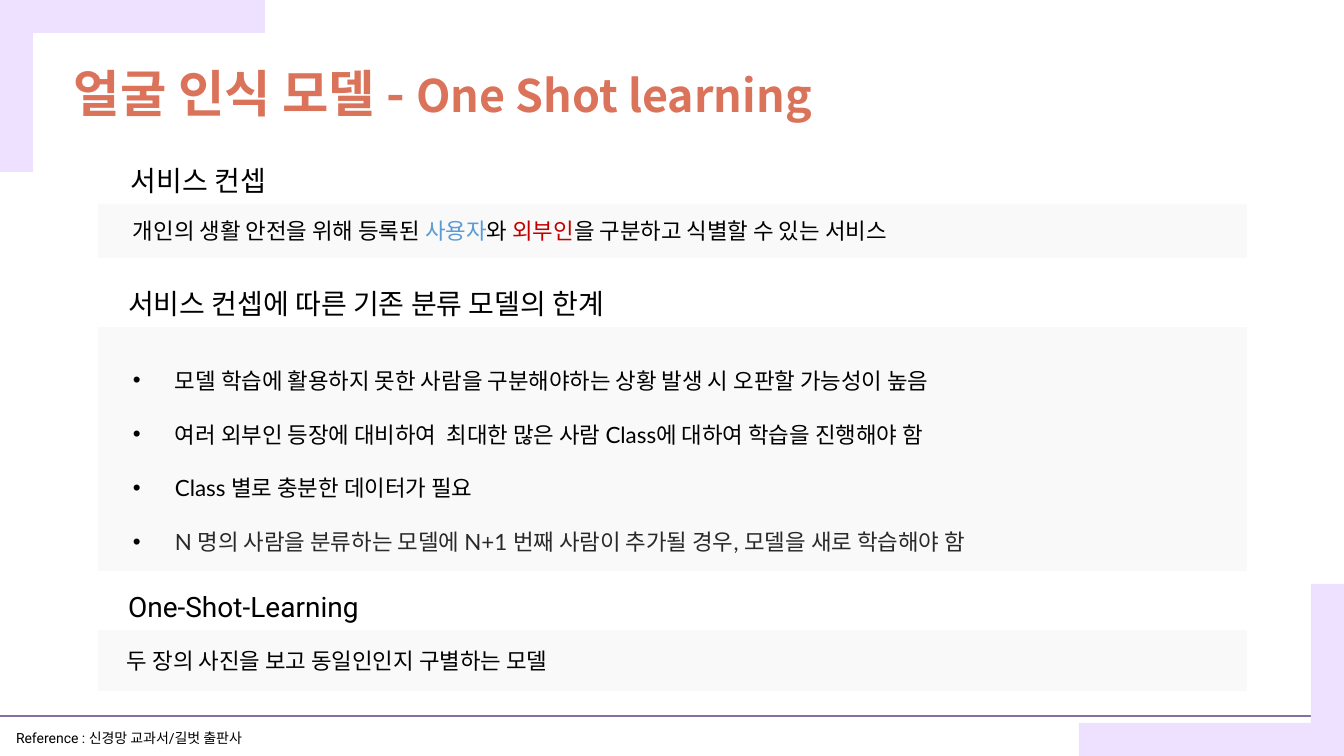
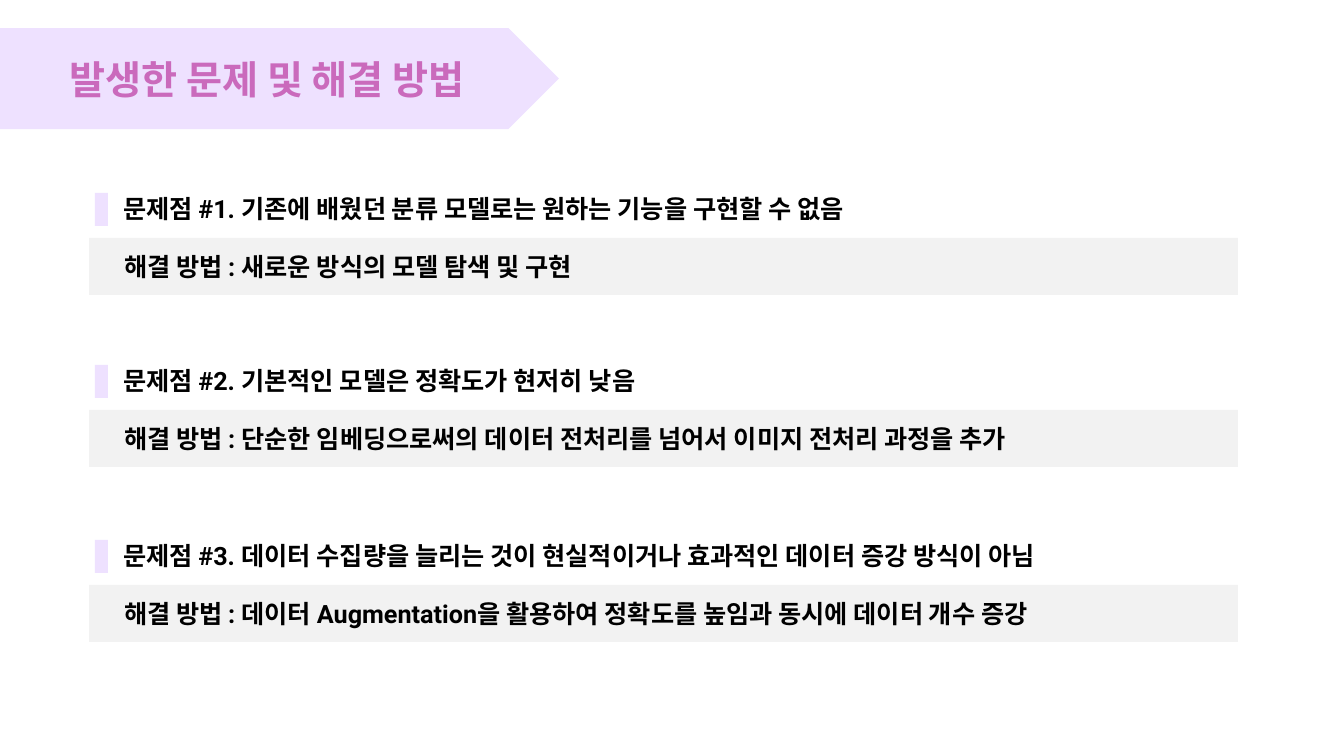
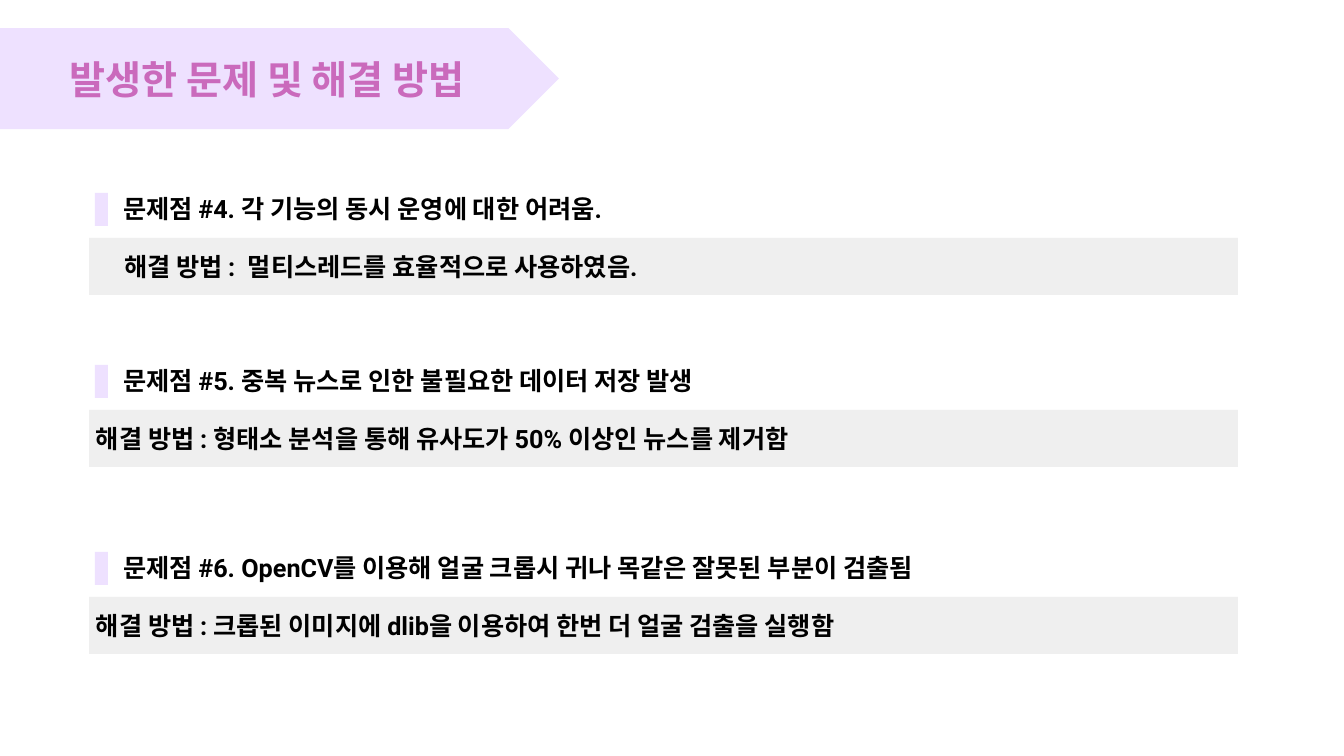
from lxml import etree
from pptx import Presentation
from pptx.dml.color import RGBColor
from pptx.enum.shapes import MSO_CONNECTOR, MSO_SHAPE
from pptx.enum.text import MSO_ANCHOR, MSO_AUTO_SIZE, PP_ALIGN
from pptx.oxml.ns import qn
from pptx.util import Emu, Pt

RECT, PENTAGON = MSO_SHAPE.RECTANGLE, MSO_SHAPE.PENTAGON
LINE = MSO_CONNECTOR.STRAIGHT
TOP, MIDDLE = MSO_ANCHOR.TOP, MSO_ANCHOR.MIDDLE
LEFT, CENTER = PP_ALIGN.LEFT, PP_ALIGN.CENTER
NO_FIT = MSO_AUTO_SIZE.NONE

W, H = 1344, 756
SCALE = 12192000 / W
PAD = 13
BAR = 33
TITLE_FONT, HEAD_FONT, BODY_FONT = "Noto Sans CJK KR", "Roboto", "Lato"
COLORS = {
    "lilac": "EEE1FF", "coral": "DB735B", "orchid": "CA6ABC", "rule": "856F9E",
    "panel": "F9F9F9", "row": "F2F2F2", "row_dark": "EFEFEF", "black": "000000",
    "soft": "292929", "blue": "5B9BD5", "red": "C00000",
}

CONCEPT = [("개인의 생활 안전을 위해 등록된 ", "black"), ("사용자", "blue"), ("와 ", "black"),
           ("외부인", "red"), ("을 구분하고 식별할 수 있는 서비스", "black")]
LIMITS = [
    ("모델 학습에 활용하지 못한 사람을 구분해야하는 상황 발생 시 오판할 가능성이 높음", "black"),
    ("여러 외부인 등장에 대비하여  최대한 많은 사람 Class에 대하여 학습을 진행해야 함", "black"),
    ("Class 별로 충분한 데이터가 필요", "black"),
    ("N 명의 사람을 분류하는 모델에 N+1 번째 사람이 추가될 경우, 모델을 새로 학습해야 함", "soft"),
]
PROBLEMS_1 = [
    (238, 35, "문제점 #1. 기존에 배웠던 분류 모델로는 원하는 기능을 구현할 수 없음",
     "해결 방법 : 새로운 방식의 모델 탐색 및 구현"),
    (410, 35, "문제점 #2. 기본적인 모델은 정확도가 현저히 낮음",
     "해결 방법 : 단순한 임베딩으로써의 데이터 전처리를 넘어서 이미지 전처리 과정을 추가"),
    (585, 35, "문제점 #3. 데이터 수집량을 늘리는 것이 현실적이거나 효과적인 데이터 증강 방식이 아님",
     "해결 방법 : 데이터 Augmentation을 활용하여 정확도를 높임과 동시에 데이터 개수 증강"),
]
PROBLEMS_2 = [
    (238, 35, "문제점 #4. 각 기능의 동시 운영에 대한 어려움.",
     "해결 방법 :  멀티스레드를 효율적으로 사용하였음."),
    (410, 7, "문제점 #5. 중복 뉴스로 인한 불필요한 데이터 저장 발생",
     "해결 방법 : 형태소 분석을 통해 유사도가 50% 이상인 뉴스를 제거함"),
    (597, 7, "문제점 #6. OpenCV를 이용해 얼굴 크롭시 귀나 목같은 잘못된 부분이 검출됨",
     "해결 방법 : 크롭된 이미지에 dlib을 이용하여 한번 더 얼굴 검출을 실행함"),
]


def px(n):
    return Emu(round(n * SCALE))


def rgb(name):
    return RGBColor.from_string(COLORS[name])


def place(sp, box):
    sp.left, sp.top, sp.width, sp.height = map(px, box)


def add_block(s, box, color, kind=RECT):
    sp = s.shapes.add_shape(kind, *map(px, box))
    sp.shadow.inherit = False
    sp.fill.solid()
    sp.fill.fore_color.rgb = rgb(color)
    sp.line.fill.background()
    return sp


def set_frame(sp, left=PAD, pad=PAD, anchor=TOP):
    tf = sp.text_frame
    tf.word_wrap = True
    tf.auto_size = NO_FIT
    tf.vertical_anchor = anchor
    tf.margin_left = px(left)
    tf.margin_top = tf.margin_right = tf.margin_bottom = px(pad)
    return tf


def add_run(p, text, size, font, color="black", bold=False):
    r = p.add_run()
    r.text = text
    r.font.size = Pt(size)
    r.font.name = font
    r.font.bold = bold
    r.font.color.rgb = rgb(color)
    ea = etree.SubElement(r.font._element, qn("a:ea"))
    ea.set("typeface", TITLE_FONT)


def write_line(sp, runs, size, font, left=PAD, bold=False, spacing=None):
    p = set_frame(sp, left).paragraphs[0]
    p.alignment = LEFT
    p.line_spacing = spacing
    for text, color in runs:
        add_run(p, text, size, font, color, bold)


def add_label(s, box, text, size, bold=False, spacing=None):
    sp = s.shapes.add_textbox(*map(px, box))
    write_line(sp, [(text, "black")], size, HEAD_FONT, bold=bold, spacing=spacing)


def set_title(s, box, runs, color):
    title = s.shapes.title
    s.shapes.element.append(title.element)
    place(title, box)
    p = set_frame(title, 0, 0, MIDDLE).paragraphs[0]
    p.alignment = CENTER
    for text, size in runs:
        add_run(p, text, size, TITLE_FONT, color, True)


def add_corner(s, x, y, w, h, at_end):
    add_block(s, (x, y + (h - BAR) * at_end, w, BAR), "lilac")
    add_block(s, (x + (w - BAR) * at_end, y, BAR, h), "lilac")


def add_footer(s, y, text):
    line = s.shapes.add_connector(LINE, px(0), px(y), px(W), px(y))
    line.line.color.rgb = rgb("rule")
    line.line.width = Pt(1)
    etree.SubElement(line.element.spPr, qn("a:effectLst"))
    add_label(s, (3, y - 2, 440, H - y + 2), text, 10, spacing=1.15)


def fill_bullets(sp, box, items):
    place(sp, box)
    sp.fill.solid()
    sp.fill.fore_color.rgb = rgb("panel")
    tf = set_frame(sp, 0)
    for i, (text, color) in enumerate(items):
        p = tf.add_paragraph() if i else tf.paragraphs[0]
        p.alignment = LEFT
        p.line_spacing = 2.0
        p.space_before = p.space_after = Pt(0)
        pPr = p._p.get_or_add_pPr()
        pPr.set("marL", str(px(77)))
        pPr.set("indent", str(px(-42)))
        clr = etree.SubElement(pPr, qn("a:buClr"))
        etree.SubElement(clr, qn("a:srgbClr")).set("val", COLORS["black"])
        etree.SubElement(pPr, qn("a:buFont")).set("typeface", "Arial")
        etree.SubElement(pPr, qn("a:buChar")).set("char", "•")
        add_run(p, text, 16, BODY_FONT, color)


def add_heading(s, box, dx, text):
    x, y, w, h = box
    add_label(s, (x + dx, y - 54, 600, 61), text, 20)


def add_section(s, box, dx, heading, runs, left, spacing=None):
    add_heading(s, box, dx, heading)
    write_line(add_block(s, box, "panel"), runs, 16, BODY_FONT, left, spacing=spacing)


def add_problem(s, box, left, problem, solution, color):
    x, y, w, h = box
    add_block(s, (x + 6, y - 45, 13, BAR), "lilac")
    add_label(s, (x + 21, y - 58, w - 33, h), problem, 18, True)
    write_line(add_block(s, box, color), [(solution, "black")], 18, HEAD_FONT, left, True)


def build_model_slide(prs):
    s = prs.slides.add_slide(prs.slide_layouts[1])
    set_title(s, (33, 56, 820, 72), [("얼굴 인식 모델 - ", 36), ("One Shot learning", 32)], "coral")
    add_footer(s, 716, "Reference : 신경망 교과서/길벗 출판사")
    x, w = 98, 1149
    add_section(s, (x, 204, w, 54), 20, "서비스 컨셉", CONCEPT, 35)
    limits = (x, 327, w, 244)
    add_heading(s, limits, 17, "서비스 컨셉에 따른 기존 분류 모델의 한계")
    fill_bullets(s.placeholders[1], limits, LIMITS)
    add_section(s, (x, 630, w, 61), 17, "One-Shot-Learning",
                [("두 장의 사진을 보고 동일인인지 구별하는 모델", "black")], 29, 1.15)
    add_corner(s, 0, 0, 265, 172, 0)
    add_corner(s, W - 265, H - 172, 265, 172, 1)


def build_problem_slide(prs, problems, color):
    s = prs.slides.add_slide(prs.slide_layouts[5])
    add_block(s, (0, 28, 559, 101), "lilac", PENTAGON)
    set_title(s, (0, 28, 534, 101), [("발생한 문제 및 해결 방법", 28)], "orchid")
    for y, left, problem, solution in problems:
        add_problem(s, (89, y, 1149, 57), left, problem, solution, color)


def main():
    prs = Presentation()
    prs.slide_width, prs.slide_height = px(W), px(H)
    build_model_slide(prs)
    build_problem_slide(prs, PROBLEMS_1, "row")
    build_problem_slide(prs, PROBLEMS_2, "row_dark")
    prs.save("out.pptx")


if __name__ == "__main__":
    main()
